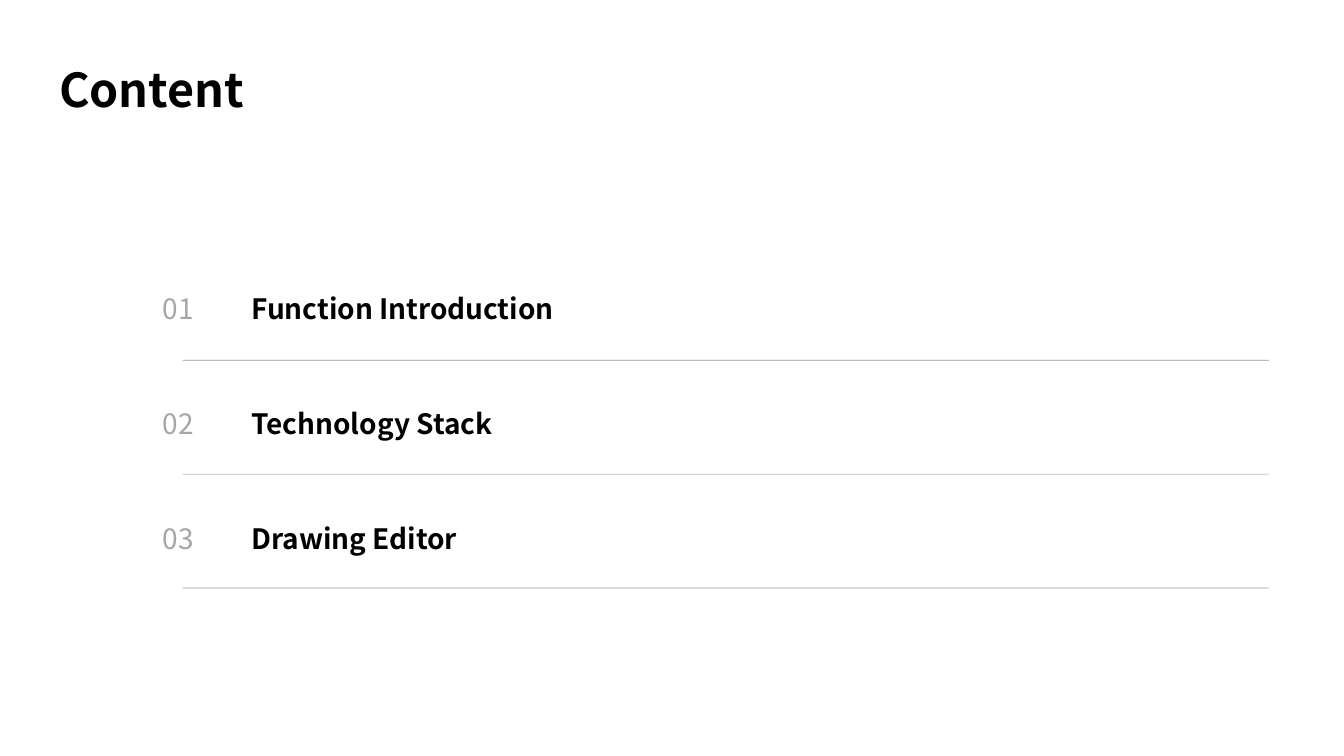
from lxml.etree import SubElement
from pptx import Presentation
from pptx.dml.color import RGBColor
from pptx.enum.shapes import MSO_CONNECTOR
from pptx.enum.text import MSO_AUTO_SIZE
from pptx.oxml.ns import qn
from pptx.util import Pt

COLORS = {"text": "000000", "number": "A6A6A6", "rule": "000000", "background": "FFFFFF"}


class SlideBuilder:
    font_name = "Noto Sans CJK SC"

    def __init__(self, slide):
        self.slide = slide
        fill = slide.background.fill
        fill.solid()
        fill.fore_color.rgb = RGBColor.from_string(COLORS["background"])

    def text(self, text, left, top, width, height, size, spacing, color="text", bold=True):
        box = self.slide.shapes.add_textbox(Pt(left), Pt(top), Pt(width), Pt(height))
        frame = box.text_frame
        frame.margin_left = frame.margin_top = frame.margin_right = frame.margin_bottom = 0
        frame.word_wrap = True
        frame.auto_size = MSO_AUTO_SIZE.SHAPE_TO_FIT_TEXT
        paragraph = frame.paragraphs[0]
        paragraph.text = text
        paragraph.line_spacing = Pt(spacing)
        font = paragraph.font
        font.name = self.font_name
        font.size = Pt(size)
        font.bold = bold
        font.color.rgb = RGBColor.from_string(COLORS[color])

    def rule(self, left, right, y, opacity=40):
        connector = self.slide.shapes.add_connector(
            MSO_CONNECTOR.STRAIGHT, Pt(left), Pt(y), Pt(right), Pt(y))
        connector.line.width = Pt(0.75)
        connector.line.color.rgb = RGBColor.from_string(COLORS["rule"])
        properties = connector._element.spPr
        color = properties.find(".//" + qn("a:srgbClr"))
        SubElement(color, qn("a:alpha"), val=str(opacity * 1000))
        SubElement(properties, qn("a:effectLst"))


def main():
    presentation = Presentation()
    presentation.slide_width = Pt(1440)
    presentation.slide_height = Pt(810)
    builder = SlideBuilder(presentation.slides.add_slide(presentation.slide_layouts[6]))

    # Title
    builder.text("Content", 63.4, 55.4, 199.4, 67.7, size=50, spacing=70)

    # Numbered sections, each with a rule below
    sections = [("Function Introduction", 366.5), ("Technology Stack", 366.5),
                ("Drawing Editor", 254.9)]
    for index, (section, width) in enumerate(sections):
        top = 292.4 + index * 122.75
        builder.text(f"{index + 1:02}", 174.2, top, 77, 51.8, size=30, spacing=56.4,
                     color="number", bold=False)
        builder.text(section, 269.3, top, width, 51.8, size=30, spacing=56.4)
        builder.rule(195.8, 1359.4, 386 + index * 122)

    presentation.save("out.pptx")


if __name__ == "__main__":
    main()
